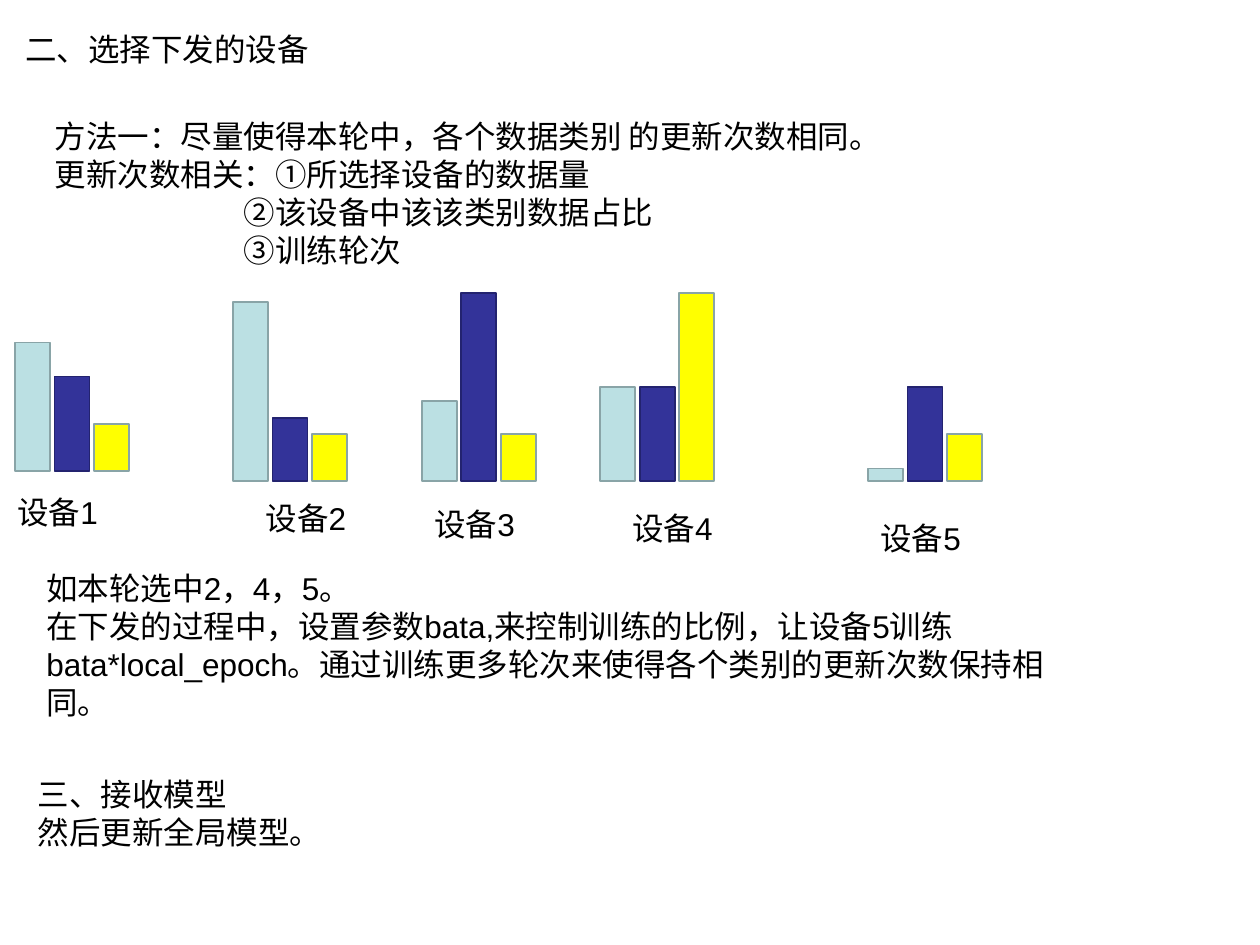
from dataclasses import dataclass

import pptx
import pptx.util
import pptx.dml.color
import pptx.enum.shapes
import pptx.enum.text
from pptx.util import Pt

RGB = pptx.dml.color.RGBColor
BLACK = RGB(0x00, 0x00, 0x00)
PALE = RGB(0xBB, 0xE0, 0xE3)
NAVY = RGB(0x33, 0x33, 0x99)
YELLOW = RGB(0xFF, 0xFF, 0x00)
GREY_EDGE = RGB(0x89, 0xA4, 0xA7)
NAVY_EDGE = RGB(0x23, 0x23, 0x6F)

# Fill and edge of the three data categories
CATEGORIES = [(PALE, GREY_EDGE), (NAVY, NAVY_EDGE), (YELLOW, GREY_EDGE)]
BAR_WIDTH, BAR_PITCH = 20, 22.6


@dataclass
class Box:
    left: float
    top: float
    width: float
    height: float


@dataclass
class Device:
    left: float
    base: float
    heights: tuple[float, float, float]
    label: Box


DEVICES = [
    Device(8.6, 269.2, (73.4, 54, 27), Box(2.9, 278, 72, 27)),
    Device(133.2, 275, (102.4, 36, 27), Box(144.7, 281.8, 70.6, 27)),
    Device(241, 275, (46, 107.4, 27), Box(241.2, 285.2, 79.2, 27)),
    Device(343, 275, (54, 54, 107.4), Box(354.2, 287.5, 68.4, 28.8)),
    Device(496, 275, (7.2, 54, 27), Box(496, 293, 89.3, 27)),
]


def place(sp, box: Box) -> None:
    sp.left, sp.top = Pt(box.left), Pt(box.top)
    sp.width, sp.height = Pt(box.width), Pt(box.height)


def write(sp, lines: list[str], indented: int = 0) -> None:
    """Fill a shape with 18 pt lines; the last `indented` ones are set in."""
    tf = sp.text_frame
    tf.word_wrap = True
    tf.auto_size = pptx.enum.text.MSO_AUTO_SIZE.NONE
    tf.vertical_anchor = pptx.enum.text.MSO_ANCHOR.TOP
    tf.text = "\n".join(lines)
    for i, p in enumerate(tf.paragraphs):
        p.alignment = pptx.enum.text.PP_ALIGN.LEFT
        p.font.name = "Arial"
        p.font.size = Pt(18)
        p.font.color.rgb = BLACK
        if i >= len(lines) - indented:
            p.level = 2
            pPr = p._p.get_or_add_pPr()
            pPr.set("marL", str(Pt(72)))
            pPr.set("indent", str(Pt(36)))


def add_text(slide, box: Box, lines: list[str], indented: int = 0) -> None:
    sp = slide.shapes.add_textbox(0, 0, 0, 0)
    place(sp, box)
    write(sp, lines, indented)


def add_bars(slide, device: Device) -> None:
    for i, (height, (fill, edge)) in enumerate(zip(device.heights, CATEGORIES)):
        sp = slide.shapes.add_shape(
            pptx.enum.shapes.MSO_SHAPE.RECTANGLE,
            Pt(device.left + i * BAR_PITCH), Pt(device.base - height),
            Pt(BAR_WIDTH), Pt(height))
        sp.shadow.inherit = False
        sp.fill.solid()
        sp.fill.fore_color.rgb = fill
        sp.line.color.rgb = edge
        sp.line.width = Pt(1)


def main() -> None:
    prs = pptx.Presentation()
    prs.slide_width, prs.slide_height = Pt(720), Pt(540)
    slide = prs.slides.add_slide(prs.slide_layouts[5])

    # Title
    title = slide.shapes.title
    place(title, Box(7.2, 13.7, 658.8, 28.8))
    write(title, ["二、选择下发的设备"])

    # Selection method
    add_text(slide, Box(24.3, 63.4, 506.2, 93.6), [
        "方法一：尽量使得本轮中，各个数据类别 的更新次数相同。",
        "更新次数相关：①所选择设备的数据量",
        "②该设备中该该类别数据占比",
        "③训练轮次",
    ], indented=2)

    # Devices with their category bars
    for number, device in enumerate(DEVICES, start=1):
        add_bars(slide, device)
        add_text(slide, device.label, [f"设备{number}"])

    # Example and closing section
    add_text(slide, Box(19.4, 321.8, 600.5, 121.7), [
        "如本轮选中2，4，5。",
        "在下发的过程中，设置参数bata,来控制训练的比例，让设备5训练"
        "bata*local_epoch。通过训练更多轮次来使得各个类别的更新次数保持相同。",
    ])
    add_text(slide, Box(14.4, 439.2, 239.8, 50.4),
             ["三、接收模型", "然后更新全局模型。"])

    prs.save("out.pptx")


if __name__ == "__main__":
    main()
